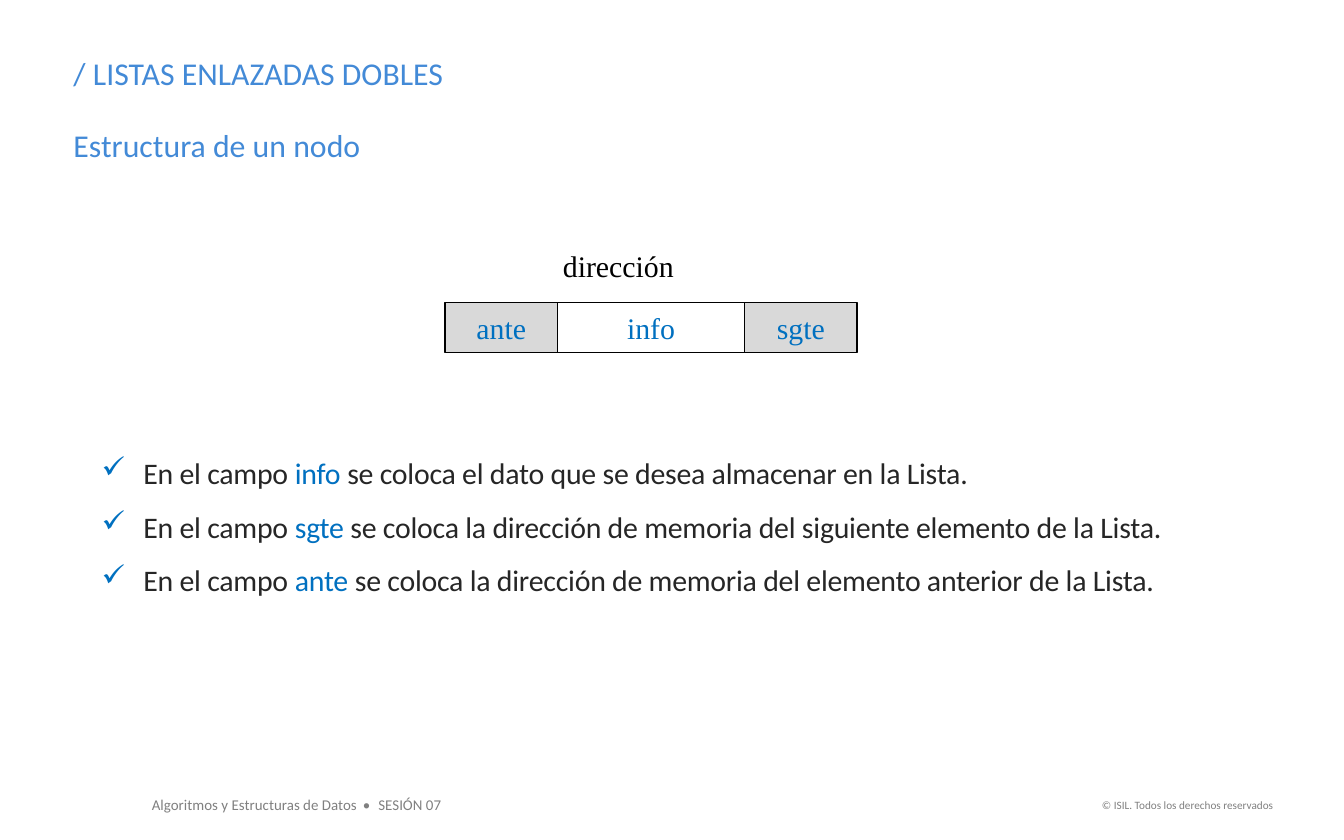
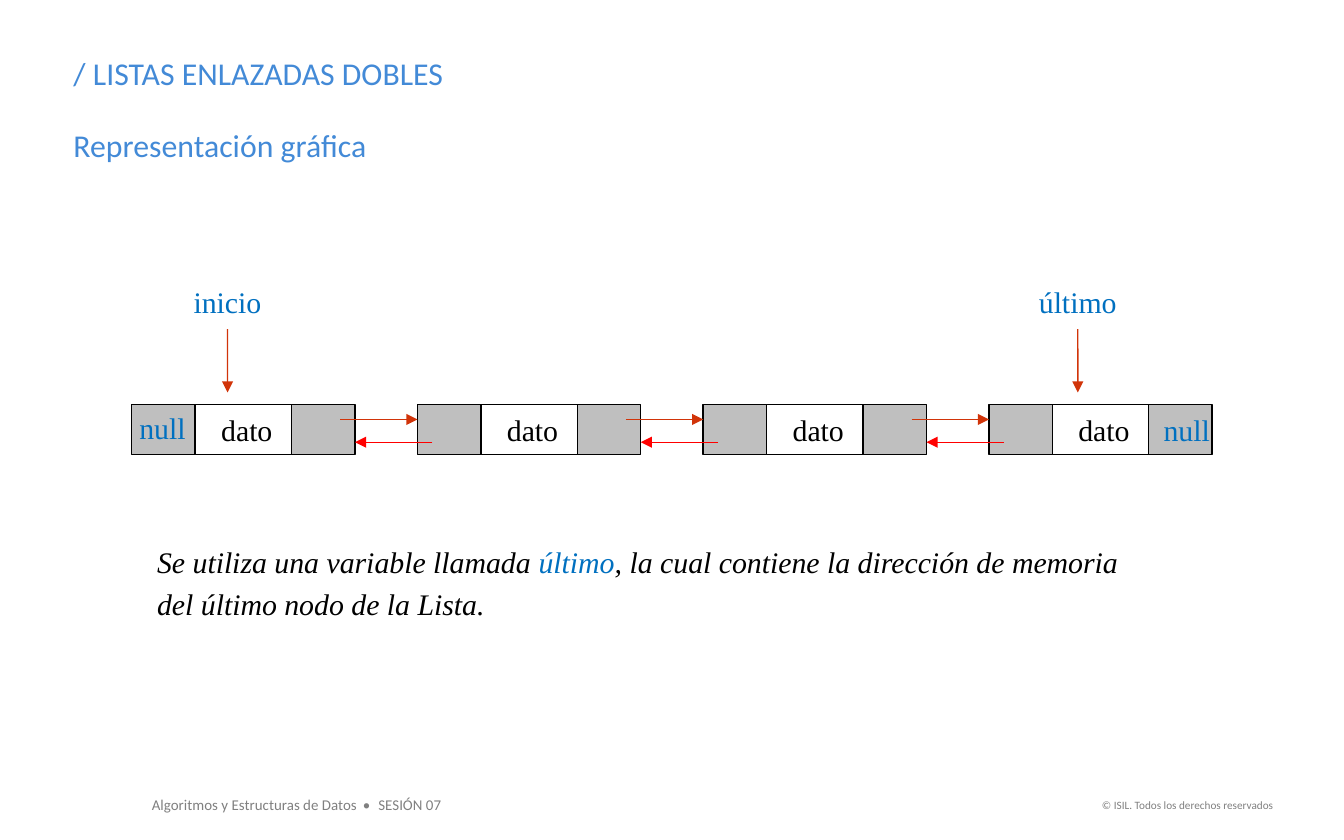
from lxml import etree
from pptx import Presentation
from pptx.dml.color import RGBColor
from pptx.enum.shapes import MSO_CONNECTOR, MSO_SHAPE
from pptx.enum.text import MSO_ANCHOR, PP_ALIGN
from pptx.oxml.ns import qn
from pptx.util import Cm, Pt

LEFT, MID, RIGHT = PP_ALIGN.LEFT, PP_ALIGN.CENTER, PP_ALIGN.RIGHT
TOP, CENTRE = MSO_ANCHOR.TOP, MSO_ANCHOR.MIDDLE
RECT, LINE = MSO_SHAPE.RECTANGLE, MSO_CONNECTOR.STRAIGHT
SANS, SERIF = "Calibri", "Times New Roman"
TITLE, BLUE, BLACK, INK = "438AD7", "0070C0", "000000", "262626"
GREY, LIGHT, DARK = "808080", "D9D9D9", "BFBFBF"
RUST, RED = "D13409", "FF0000"
ROW = 0.94  # height of a one-line box, cm


def color(code):
    return RGBColor.from_string(code)


def child(parent, tag, **attrs):
    return etree.SubElement(parent, qn(tag), attrs)


def write(para, runs, size, font, align=LEFT, slant=False):
    """Fill a paragraph with runs of (text, colour[, letter spacing in pt])."""
    para.alignment = align
    for words, code, *gap in runs:
        run = para.add_run()
        run.text = words
        run.font.size = Pt(size)
        run.font.name = font
        run.font.italic = slant
        run.font.color.rgb = color(code)
        if gap:
            run.font._element.set("spc", str(round(gap[0] * 100)))


def label(slide, box, runs, size=16, font=SERIF, align=LEFT, wrap=True,
          slant=False, space=None):
    area = slide.shapes.add_textbox(*map(Cm, box))
    frame = area.text_frame
    frame.word_wrap = wrap
    frame.vertical_anchor = TOP
    para = frame.paragraphs[0]
    if space:
        para.line_spacing = space
    write(para, runs, size, font, align, slant)
    return area


def cell(slide, box, fill=None, words=None, code=BLUE):
    shape = slide.shapes.add_shape(RECT, *map(Cm, box))
    shape.shadow.inherit = False
    if fill:
        shape.fill.solid()
        shape.fill.fore_color.rgb = color(fill)
    else:
        shape.fill.background()
    shape.line.color.rgb = color(BLACK)
    shape.line.width = Pt(0.75)
    if words:
        shape.text_frame.vertical_anchor = CENTRE
        write(shape.text_frame.paragraphs[0], [(words, code)], 16, SERIF, MID)


def arrow(slide, start, end, code):
    line = slide.shapes.add_connector(LINE, *map(Cm, (*start, *end)))
    line.line.color.rgb = color(code)
    line.line.width = Pt(0.75)
    child(line.line._get_or_add_ln(), "a:tailEnd", type="triangle")
    child(line._element.spPr, "a:effectLst")
    return line


def base(deck, topic):
    """Blank slide with titles and footers."""
    slide = deck.slides.add_slide(deck.slide_layouts[6])
    label(slide, (2.62, 14.91, 5.99, 0.61),
          [("Algoritmos y Estructuras de Datos", GREY), (" • ", GREY, 1.2),
           ("SESIÓN 07", GREY)], 8, SANS, wrap=False)
    label(slide, (20.5, 14.96, 3.81, 0.51),
          [("© ISIL. Todos los derechos reservados", GREY)], 6, SANS, RIGHT,
          wrap=False)
    label(slide, (1.14, 0.89, 20, 0.99),
          [("/ LISTAS ENLAZADAS DOBLES", TITLE)], 17, SANS)
    label(slide, (1.14, 2.26, 6.55, 0.99), [(topic, TITLE)], 17, SANS)
    return slide


def fields(slide, x, y):
    """One node with its three named fields."""
    label(slide, (x + 1.98, y - 1.17, 4.06, ROW), [("dirección", BLACK)])
    for name, wide, fill in (("ante", 2.13, LIGHT), ("info", 3.53, None),
                             ("sgte", 2.13, LIGHT)):
        cell(slide, (x, y, wide, ROW), fill, name)
        x += wide


def checks(slide, box, items):
    """Ticked list; each item names one field."""
    frame = slide.shapes.add_textbox(*map(Cm, box)).text_frame
    frame.word_wrap = True
    frame.margin_left = frame.margin_right = 0
    frame.margin_top = frame.margin_bottom = 0
    for spot, (name, rest) in enumerate(items):
        para = frame.add_paragraph() if spot else frame.paragraphs[0]
        para.line_spacing = 1.5
        props = para._p.get_or_add_pPr()
        props.set("marL", str(Cm(0.83)))
        props.set("indent", str(Cm(-0.79)))
        tint = child(props, "a:buClr")
        child(tint, "a:srgbClr", val=BLUE)
        child(props, "a:buChar", char="✓")
        tabs = child(props, "a:tabLst")
        child(tabs, "a:tab", pos=str(Cm(0.33)), algn="l")
        write(para, [("En el campo ", INK, -0.1), (name, BLUE, -0.1),
                     (" " + rest, INK, -0.1)], 16, SANS)


def chain(slide, x, y, count=4, step=5.4):
    """Doubly linked nodes, with null at both ends and two pointers."""
    side, data, turn = 1.2, 1.95, 3.02
    starts = [x + step * spot for spot in range(count)]
    last = starts[-1]
    for left in starts:
        cell(slide, (left + side, y, data, ROW), None, "dato", BLACK)
        cell(slide, (left, y, side, ROW), DARK)
        cell(slide, (left + turn, y, side, ROW), DARK)
    # Links between neighbours
    for left, after in zip(starts, starts[1:]):
        arrow(slide, (left + 3.94, y + 0.28), (after, y + 0.28), RUST)
        arrow(slide, (after + 0.28, y + 0.71),
              (left + turn + side, y + 0.71), RED)
    # Null ends
    label(slide, (x - 0.28, y - 0.03, 1.55, ROW), [("null", BLUE)],
          align=RIGHT)
    label(slide, (last + 3.05, y, 1.55, ROW), [("null", BLUE)])
    # Pointers to the first and last node
    for name, left in (("inicio", x + 0.41), ("último", last + 0.28)):
        tag = label(slide, (left, y - 2.42, 2.8, 0.99), [(name, BLUE)],
                    align=MID)
        line = arrow(slide, (left + 1.4, y - 1.43), (left + 1.4, y - 0.23),
                     RUST)
        line.begin_connect(tag, 2)


def main():
    deck = Presentation()
    deck.slide_width, deck.slide_height = Cm(25.4), Cm(15.88)

    # Node structure
    slide = base(deck, "Estructura de un nodo")
    fields(slide, 8.41, 5.72)
    checks(slide, (1.88, 8.26, 21, 3.07), [
        ("info", "se coloca el dato que se desea almacenar en la Lista."),
        ("sgte", "se coloca la dirección de memoria del siguiente elemento "
                 "de la Lista."),
        ("ante", "se coloca la dirección de memoria del elemento anterior "
                 "de la Lista.")])

    # Linked list
    slide = base(deck, "Representación gráfica")
    chain(slide, 2.49, 7.65)
    label(slide, (2.72, 10.01, 19.02, 1.91),
          [("Se utiliza una variable llamada ", BLACK), ("último", BLUE),
           (", la cual contiene la dirección de memoria del último nodo "
            "de la Lista.", BLACK)], slant=True, space=1.2)

    deck.save("out.pptx")


if __name__ == "__main__":
    main()
